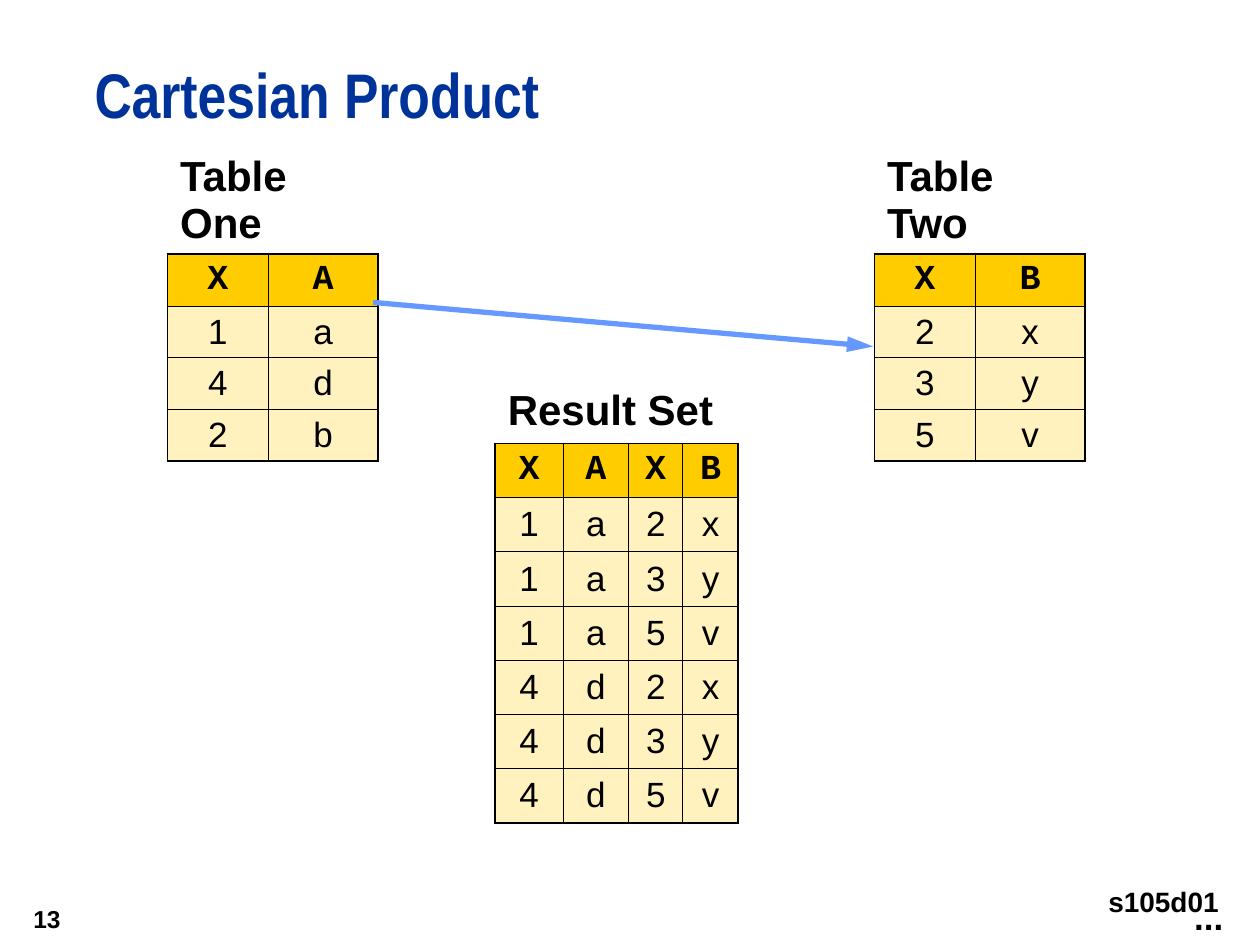
from pptx import Presentation
from pptx.dml.color import RGBColor
from pptx.enum.shapes import MSO_CONNECTOR
from pptx.enum.text import MSO_ANCHOR, MSO_AUTO_SIZE, PP_ALIGN
from pptx.oxml.ns import qn
from pptx.util import Inches, Pt
from lxml.etree import SubElement

COLORS = {
    "title": "003399",
    "text": "000000",
    "header": "FFCC00",
    "body": "FFF2BE",
    "arrow": "6699FF",
}
THIN, THICK = 0.45, 1.08


def color(name):
    return RGBColor.from_string(COLORS[name])


def style(para, size, font="Arial", bold=True, tint="text", align=PP_ALIGN.LEFT):
    para.alignment = align
    para.font.name = font
    para.font.size = Pt(size)
    para.font.bold = bold
    para.font.color.rgb = color(tint)


def set_borders(cell, widths):
    properties = cell._tc.get_or_add_tcPr()
    for index, (side, width) in enumerate(zip("LRTB", widths)):
        line = properties.makeelement(qn(f"a:ln{side}"), {"w": str(Pt(width))})
        properties.insert(index, line)
        if width:
            fill = SubElement(line, qn("a:solidFill"))
            SubElement(fill, qn("a:srgbClr"), val=COLORS["text"])
        else:
            SubElement(line, qn("a:noFill"))


def add_title(page, box):
    title = page.shapes.title
    title.left, title.top, title.width, title.height = map(Inches, box)
    frame = title.text_frame
    frame.text = "Cartesian Product"
    frame.word_wrap = True
    frame.auto_size = MSO_AUTO_SIZE.NONE
    frame.vertical_anchor = MSO_ANCHOR.TOP
    frame.margin_left = frame.margin_right = 0
    frame.margin_top = frame.margin_bottom = 0
    para = frame.paragraphs[0]
    para.line_spacing = Pt(39)
    style(para, 36, "Arial Narrow", tint="title")


def add_data_table(page, box, caption, records, widths, heights):
    row_count, column_count = len(records) + 1, len(widths)
    table = page.shapes.add_table(row_count, column_count, *map(Inches, box)).table
    table.first_row = table.horz_banding = False
    for column, width in zip(table.columns, widths):
        column.width = Inches(width)
    for row, height in zip(table.rows, heights):
        row.height = Inches(height)

    heading = table.cell(0, 0)
    heading.merge(table.cell(0, column_count - 1))
    heading.text = caption
    heading.vertical_anchor = MSO_ANCHOR.MIDDLE
    style(heading.text_frame.paragraphs[0], 24)
    for column in range(column_count):
        cell = table.cell(0, column)
        cell.fill.background()
        set_borders(cell, (0, 0, 0, THICK))

    for row, record in enumerate(records, 1):
        is_header = row == 1
        for column, value in enumerate(record):
            cell = table.cell(row, column)
            cell.text = value
            cell.vertical_anchor = MSO_ANCHOR.MIDDLE
            cell.fill.solid()
            cell.fill.fore_color.rgb = color("header" if is_header else "body")
            font = "Courier New" if is_header else "Arial"
            style(cell.text_frame.paragraphs[0], 20, font, is_header,
                  align=PP_ALIGN.CENTER)
            outer_edges = (column == 0, column == column_count - 1,
                           is_header, row == row_count - 1)
            set_borders(cell, [THICK if edge else THIN for edge in outer_edges])


def add_arrow(page, start, end):
    arrow = page.shapes.add_connector(
        MSO_CONNECTOR.STRAIGHT, *map(Inches, start + end))
    arrow.line.color.rgb = color("arrow")
    arrow.line.width = Pt(3)
    SubElement(arrow.line._get_or_add_ln(), qn("a:tailEnd"),
               type="triangle", w="med", len="lg")
    SubElement(arrow._element.spPr, qn("a:effectLst"))


def add_label(page, box, text, size, align=PP_ALIGN.LEFT,
              anchor=MSO_ANCHOR.TOP, margin=0.05, grow=True):
    frame = page.shapes.add_textbox(*map(Inches, box)).text_frame
    frame.text = text
    frame.word_wrap = False
    frame.auto_size = (MSO_AUTO_SIZE.SHAPE_TO_FIT_TEXT if grow
                       else MSO_AUTO_SIZE.NONE)
    frame.vertical_anchor = anchor
    frame.margin_top = frame.margin_bottom = Inches(margin)
    style(frame.paragraphs[0], size, align=align)


def add_footer(page):
    add_label(page, (0, 7.08, 0.58, 0.42), "13", 14, PP_ALIGN.RIGHT,
              MSO_ANCHOR.MIDDLE, grow=False)
    add_label(page, (9.38, 7.06, 0.43, 0.44), "...", 20)
    add_label(page, (8.62, 6.92, 1.15, 0.46), "s105d01", 16,
              PP_ALIGN.RIGHT, margin=0.1, grow=False)


def main():
    deck = Presentation()
    deck.slide_width, deck.slide_height = Inches(10), Inches(7.5)
    page = deck.slides.add_slide(deck.slide_layouts[5])

    table_one = ["XA", "1a", "4d", "2b"]
    table_two = ["XB", "2x", "3y", "5v"]
    product = [left + right for left in table_one[1:3] for right in table_two[1:]]
    result = [table_one[0] + table_two[0]] + product

    add_title(page, (0.75, 0.5, 9.25, 0.75))
    add_data_table(page, (1.33, 1.17, 1.67, 1.75), "Table One", table_one,
                   [0.8, 0.87], [0.4, 0.33, 0.33, 0.33, 0.35])
    add_data_table(page, (6.94, 1.17, 1.67, 1.74), "Table Two", table_two,
                   [0.8, 0.87], [0.4] + [0.34] * 4)
    add_data_table(page, (3.93, 3.01, 1.93, 3.52), "Result Set", result,
                   [0.54, 0.52, 0.43, 0.44], [0.51] + [0.43] * 7)
    add_arrow(page, (2.96, 2.4), (6.93, 2.75))
    add_footer(page)
    deck.save("out.pptx")


if __name__ == "__main__":
    main()
